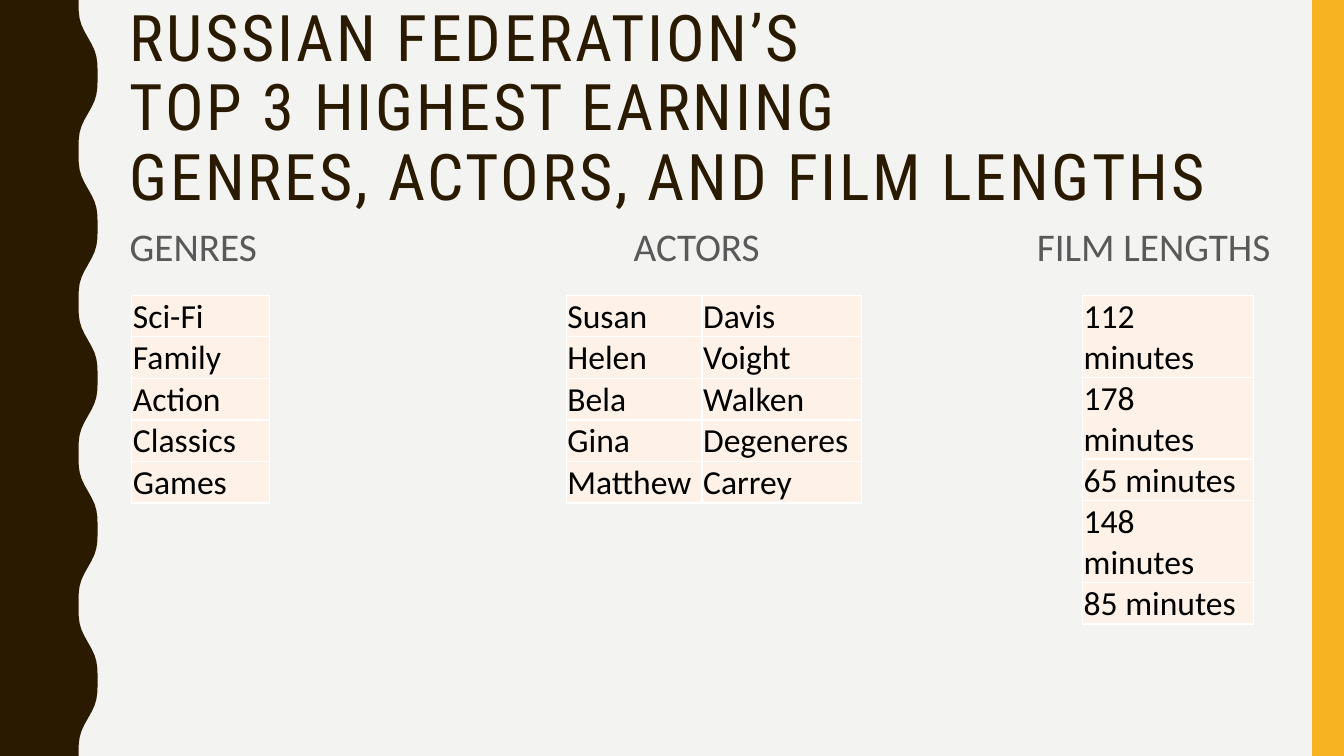
from math import cos, pi
from lxml import etree
from pptx import Presentation, util as u
from pptx.dml.color import RGBColor
from pptx.enum import shapes, text
from pptx.oxml.ns import qn

Cm, Pt = u.Cm, u.Pt
BROWN, AMBER, PAPER = "2A1A00", "F8B323", "F3F3F2"
GREY, CREAM, WHITE, BLACK = "595959", "FEF2E8", "FFFFFF", "000000"


def paint(fill, color):
    fill.solid()
    fill.fore_color.rgb = RGBColor.from_string(color)


def style(paragraph, face, size, color):
    paragraph.font.name = face
    paragraph.font.size = Pt(size)
    paint(paragraph.font.fill, color)


deck = Presentation()
deck.slide_width, deck.slide_height = Cm(33.87), Cm(19.05)
slide = deck.slides.add_slide(deck.slide_layouts[5])
paint(slide.background.fill, PAPER)

# Wavy left edge: five full waves down the slide
wave_length, steps = 3.81, 120
edge = []
for step in range(steps + 1):
    y = 19.05 * step / steps
    turn = 2 * pi * y / wave_length
    x = 2.22 - 0.24 * (1.12 * cos(turn) - 0.12 * cos(3 * turn))
    edge.append((Cm(x), Cm(y)))
outline = slide.shapes.build_freeform(0, 0)
outline.add_line_segments(edge + [(0, Cm(19.05))], close=True)
wave = outline.convert_to_shape()
stripe = slide.shapes.add_shape(shapes.MSO_SHAPE.RECTANGLE, Cm(33.07), 0, Cm(0.8), Cm(19.05))
for band, color in ((wave, BROWN), (stripe, AMBER)):
    band.shadow.inherit = False
    paint(band.fill, color)
    band.line.fill.background()

title = slide.shapes.title
title.left, title.top, title.width, title.height = Cm(3.02), Cm(0.18), Cm(29.97), Cm(5.18)
title.text_frame.text = "RUSSIAN FEDERATION’S \vTOP 3 HIGHEST EARNING\vGENRES, ACTORS, AND FILM LENGTHS"
title.text_frame.auto_size = text.MSO_AUTO_SIZE.NONE
title.text_frame.vertical_anchor = text.MSO_ANCHOR.MIDDLE
heading = title.text_frame.paragraphs[0]
heading.alignment = text.PP_ALIGN.LEFT
heading.line_spacing = 0.9
style(heading, "Roboto Condensed", 45.9, BROWN)
heading._p.pPr.find(qn("a:defRPr")).set("spc", "200")

labels = slide.shapes.add_textbox(Cm(3.02), Cm(5.36), Cm(29.97), Cm(11.13)).text_frame
labels.word_wrap = True
labels.text = "GENRES\tACTORS\tFILM LENGTHS"
label_line = labels.paragraphs[0]
label_line.line_spacing = 1.1
label_line.space_before = Pt(7)
style(label_line, "Calibri", 28, GREY)
tab_stops = etree.Element(qn("a:tabLst"))
for position in (12.7, 22.86):
    etree.SubElement(tab_stops, qn("a:tab"), pos=str(Cm(position)), algn="l")
label_line._p.pPr.find(qn("a:defRPr")).addprevious(tab_stops)

genres = [["Sci-Fi"], ["Family"], ["Action"], ["Classics"], ["Games"]]
actors = [["Susan", "Davis"], ["Helen", "Voight"], ["Bela", "Walken"],
          ["Gina", "Degeneres"], ["Matthew", "Carrey"]]
lengths = [[f"{minutes} minutes"] for minutes in (112, 178, 65, 148, 85)]

for left, widths, entries in ((3.32, [3.48], genres),
                              (14.27, [3.42, 4.03], actors),
                              (27.28, [4.3], lengths)):
    table = slide.shapes.add_table(len(entries), len(widths), Cm(left), Cm(7.44),
                                   Cm(sum(widths)), Cm(5.2)).table
    table.first_row = table.horz_banding = False
    for column, width in zip(table.columns, widths):
        column.width = Cm(width)
    for row, entry in enumerate(entries):
        for col, words in enumerate(entry):
            cell = table.cell(row, col)
            cell.text = words
            style(cell.text_frame.paragraphs[0], "Calibri", 24, BLACK)
            cell.vertical_anchor = text.MSO_ANCHOR.BOTTOM
            cell.margin_left = cell.margin_right = cell.margin_top = Cm(0.03)
            cell.margin_bottom = 0
            paint(cell.fill, CREAM)
            properties = cell._tc.get_or_add_tcPr()
            for index, side in enumerate(("lnL", "lnR", "lnT", "lnB")):
                border = etree.Element(qn(f"a:{side}"), w=str(Pt(1)))
                border_fill = etree.SubElement(border, qn("a:solidFill"))
                etree.SubElement(border_fill, qn("a:srgbClr"), val=WHITE)
                properties.insert(index, border)

deck.save("out.pptx")
